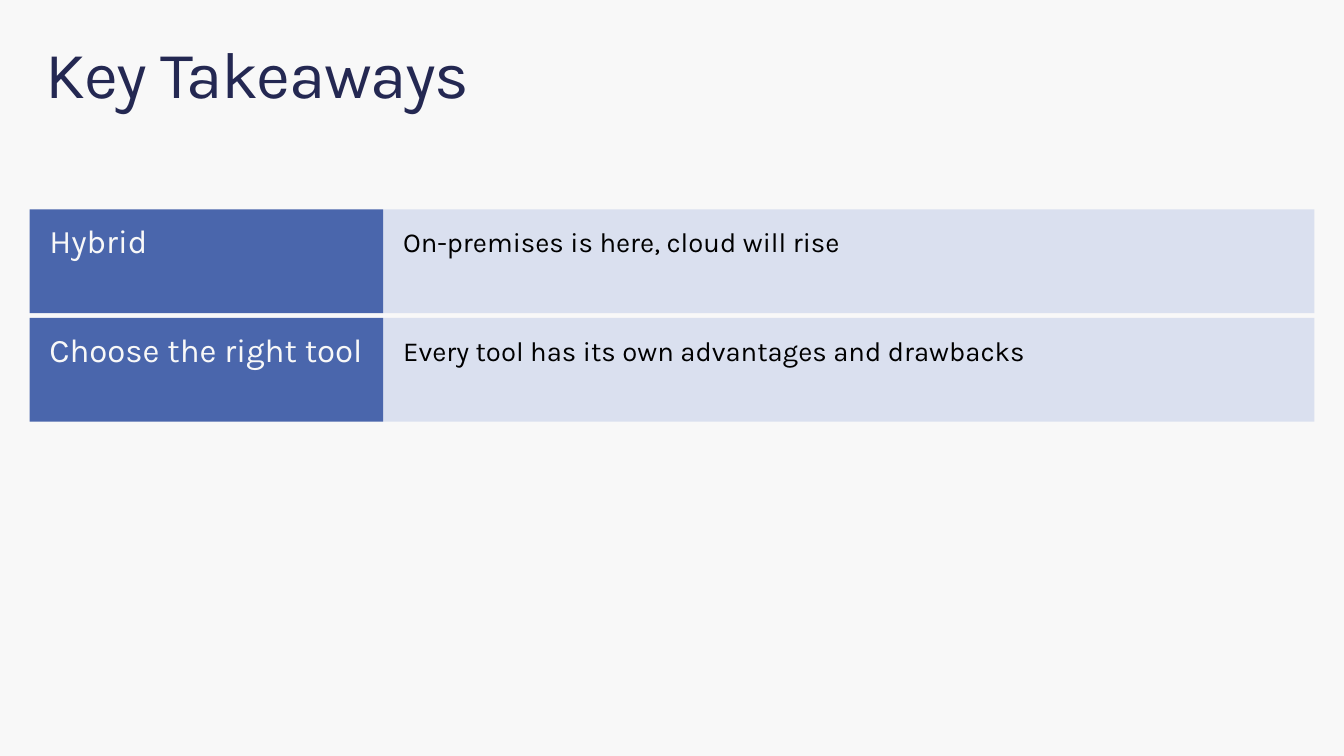
from pptx import Presentation
from pptx.dml.color import RGBColor
from pptx.enum.shapes import MSO_SHAPE
from pptx.enum.text import MSO_ANCHOR, MSO_AUTO_SIZE, PP_ALIGN
from pptx.util import Cm, Pt

RECTANGLE = MSO_SHAPE.RECTANGLE
TOP = MSO_ANCHOR.TOP
LEFT = PP_ALIGN.LEFT
NO_AUTOFIT = MSO_AUTO_SIZE.NONE
TITLE_ONLY = 5

FONT = "Karla"
PAPER, NAVY, BLUE, PALE, BLACK = "F8F8F8", "242852", "4A66AC", "DAE0EF", "000000"


def color(hex_string):
    return RGBColor.from_string(hex_string)


class Deck:
    """Holds the style and the current slide."""

    def __init__(self, width, height):
        self.prs = Presentation()
        self.prs.slide_width, self.prs.slide_height = Cm(width), Cm(height)

    def new_slide(self):
        self.slide = self.prs.slides.add_slide(self.prs.slide_layouts[TITLE_ONLY])
        fill = self.slide.background.fill
        fill.solid()
        fill.fore_color.rgb = color(PAPER)

    def set_text(self, frame, text, size, ink, margins, line_spacing):
        frame.text = text
        frame.word_wrap = True
        frame.auto_size = NO_AUTOFIT
        frame.vertical_anchor = TOP
        frame.margin_left = frame.margin_right = Cm(margins[0])
        frame.margin_top = frame.margin_bottom = Cm(margins[1])
        paragraph = frame.paragraphs[0]
        paragraph.alignment = LEFT
        paragraph.line_spacing = line_spacing
        run = paragraph.runs[0]
        run.font.name = FONT
        run.font.size = Pt(size)
        run.font.color.rgb = color(ink)
        return run

    def title(self, text, left, top, width, height):
        heading = self.slide.shapes.title
        heading.left, heading.top = Cm(left), Cm(top)
        heading.width, heading.height = Cm(width), Cm(height)
        run = self.set_text(heading.text_frame, text, 48, NAVY, (0.41, 0.25), 0.9)
        # Tighten the letters by one point
        run._r.get_or_add_rPr().set("spc", "-100")

    def panel(self, text, left, top, width, height, fill, ink, size, line_spacing):
        panel = self.slide.shapes.add_shape(
            RECTANGLE, Cm(left), Cm(top), Cm(width), Cm(height))
        panel.shadow.inherit = False
        panel.fill.solid()
        panel.fill.fore_color.rgb = color(fill)
        panel.line.fill.background()
        self.set_text(panel.text_frame, text, size, ink, (0.51, 0.41), line_spacing)


def main():
    deck = Deck(34.54, 19.43)
    deck.new_slide()

    # Heading
    margin, full_width = 0.76, 33.02
    deck.title("Key Takeaways", margin, 0.81, full_width, 2.54)

    # Takeaways: a label and its explanation in each row
    takeaways = [
        ("Hybrid", "On-premises is here, cloud will rise"),
        ("Choose the right tool", "Every tool has its own advantages and drawbacks"),
    ]
    first_top, row_height, row_gap = 5.38, 2.67, 0.12
    label_width = 9.09
    for row, (label, explanation) in enumerate(takeaways):
        top = first_top + row * (row_height + row_gap)
        deck.panel(explanation, margin + label_width, top, full_width - label_width,
                   row_height, PALE, BLACK, 20, 1.0)
        deck.panel(label, margin, top, label_width, row_height, BLUE, PAPER, 24, 0.9)

    deck.prs.save("out.pptx")


if __name__ == "__main__":
    main()
